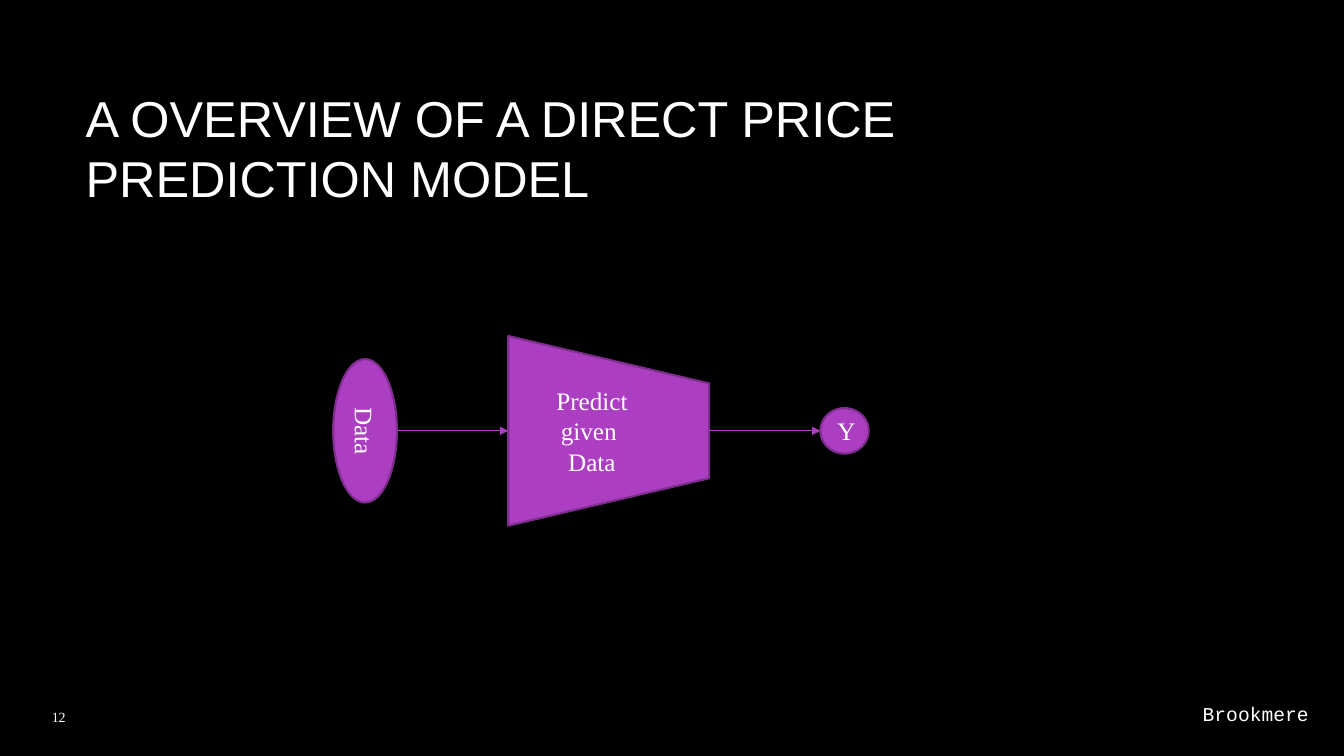
import pptx
import pptx.dml.color
import pptx.enum.shapes
import pptx.enum.text
import pptx.oxml.ns
import pptx.util
from lxml import etree

Pt = pptx.util.Pt
RGBColor = pptx.dml.color.RGBColor
MSO_SHAPE = pptx.enum.shapes.MSO_SHAPE
PP_ALIGN = pptx.enum.text.PP_ALIGN
MSO_ANCHOR = pptx.enum.text.MSO_ANCHOR
qn = pptx.oxml.ns.qn

BLACK = RGBColor(0x00, 0x00, 0x00)
WHITE = RGBColor(0xFF, 0xFF, 0xFF)
PURPLE = RGBColor(0xAC, 0x3E, 0xC1)
DARK_PURPLE = RGBColor(0x7F, 0x2E, 0x8F)
SERIF = "Times New Roman"


def write(text_frame, text, size, font, align=PP_ALIGN.LEFT, anchor=MSO_ANCHOR.MIDDLE):
    text_frame.text = text
    text_frame.word_wrap = True
    text_frame.vertical_anchor = anchor
    for paragraph in text_frame.paragraphs:
        paragraph.alignment = align
        for run in paragraph.runs:
            run.font.size = Pt(size)
            run.font.name = font
            run.font.color.rgb = WHITE


def add_title(slide, left, top, width, height):
    title = slide.shapes.title
    title.left, title.top = Pt(left), Pt(top)
    title.width, title.height = Pt(width), Pt(height)
    write(title.text_frame, "A OVERVIEW OF A DIRECT PRICE PREDICTION MODEL", 36, "Arial")
    title.text_frame.auto_size = pptx.enum.text.MSO_AUTO_SIZE.NONE


def add_node(slide, preset, center_x, center_y, width, height, text, direction="horz"):
    node = slide.shapes.add_shape(
        preset, Pt(center_x - width / 2), Pt(center_y - height / 2), Pt(width), Pt(height))
    node.shadow.inherit = False
    node.fill.solid()
    node.fill.fore_color.rgb = PURPLE
    node.line.color.rgb = DARK_PURPLE
    node.line.width = Pt(1.5)
    write(node.text_frame, text, 18, SERIF, PP_ALIGN.CENTER)
    node.element.txBody.bodyPr.set("vert", direction)
    return node


def add_arrow(slide, start_x, end_x, y):
    arrow = slide.shapes.add_connector(
        pptx.enum.shapes.MSO_CONNECTOR.STRAIGHT, Pt(start_x), Pt(y), Pt(end_x), Pt(y))
    arrow.line.color.rgb = PURPLE
    arrow.line.width = Pt(0.75)
    etree.SubElement(arrow.line._get_or_add_ln(), qn("a:tailEnd"), type="triangle")
    etree.SubElement(arrow.element.spPr, qn("a:effectLst"))


def add_model_flow(slide, left, top, height):
    """Draw data, model and prediction in a row, with an arrow in each gap."""
    data_width, model_width, output_width, gap = 45.5, 143.5, 34.5, 79.5
    middle = top + height / 2
    model_left = left + data_width + gap
    model_right = model_left + model_width
    output_left = model_right + gap

    # The trapezoid is turned a quarter, so its height runs along the flow.
    model = add_node(slide, MSO_SHAPE.TRAPEZOID, model_left + model_width / 2, middle,
                     height, model_width, "Predict\vgiven \nData", "vert270")
    model.rotation = 90
    add_node(slide, MSO_SHAPE.OVAL, output_left + output_width / 2, middle,
             output_width, 32.5, "Y")
    add_node(slide, MSO_SHAPE.OVAL, left + data_width / 2, middle,
             data_width, 102.5, "Data", "vert")
    for gap_left in (left + data_width, model_right):
        add_arrow(slide, gap_left, gap_left + gap, middle)


def add_label(slide, left, top, width, height, text, size, font, align, anchor):
    label = slide.shapes.add_textbox(Pt(left), Pt(top), Pt(width), Pt(height))
    write(label.text_frame, text, size, font, align, anchor)


def add_footer(slide, top):
    add_label(slide, 852, top, 93, 24.5, "Brookmere", 14, "Courier New",
              PP_ALIGN.LEFT, MSO_ANCHOR.TOP)
    add_label(slide, 11, top, 43, 29.5, "12", 10, SERIF,
              PP_ALIGN.RIGHT, MSO_ANCHOR.MIDDLE)


def main():
    presentation = pptx.Presentation()
    presentation.slide_width, presentation.slide_height = Pt(960), Pt(540)
    slide = presentation.slides.add_slide(presentation.slide_layouts[5])
    slide.background.fill.solid()
    slide.background.fill.fore_color.rgb = BLACK
    add_title(slide, 54, 48, 820, 114.5)
    add_model_flow(slide, 238, 240, 135.5)
    add_footer(slide, 497.5)
    presentation.save("out.pptx")


if __name__ == "__main__":
    main()
